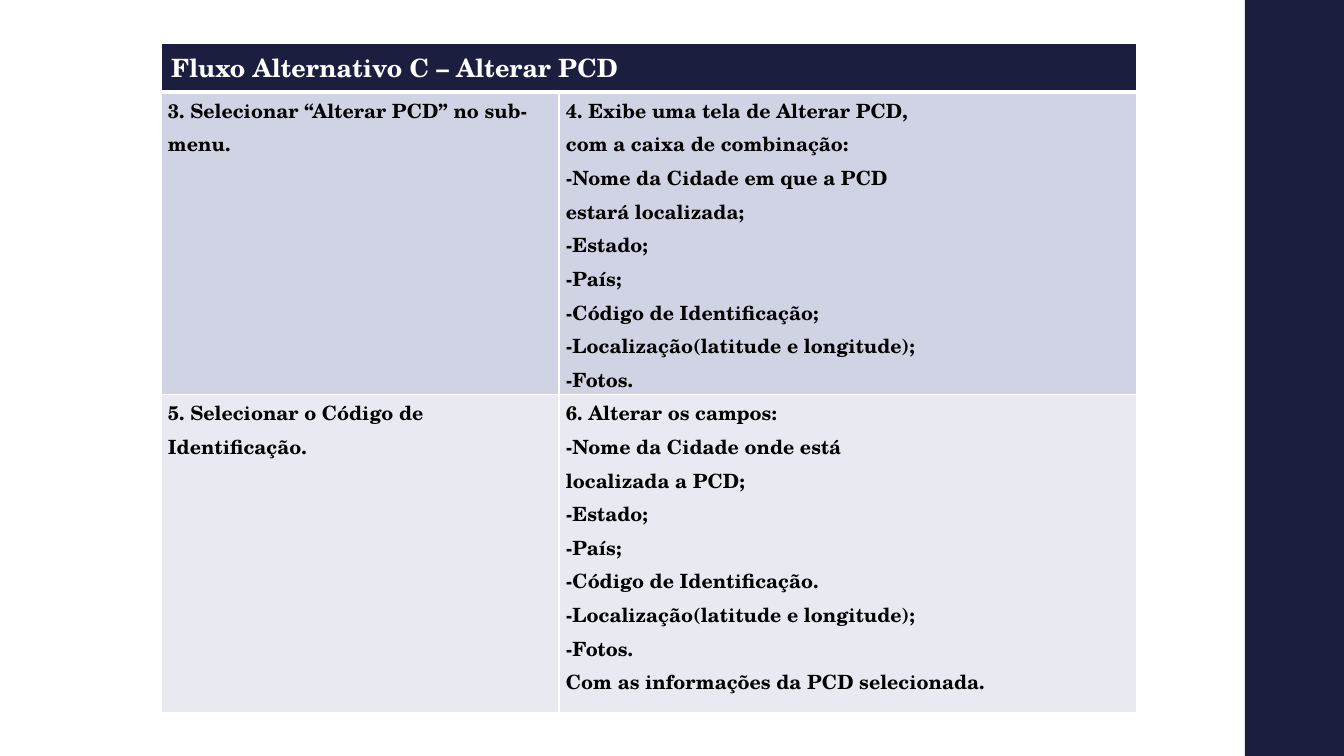
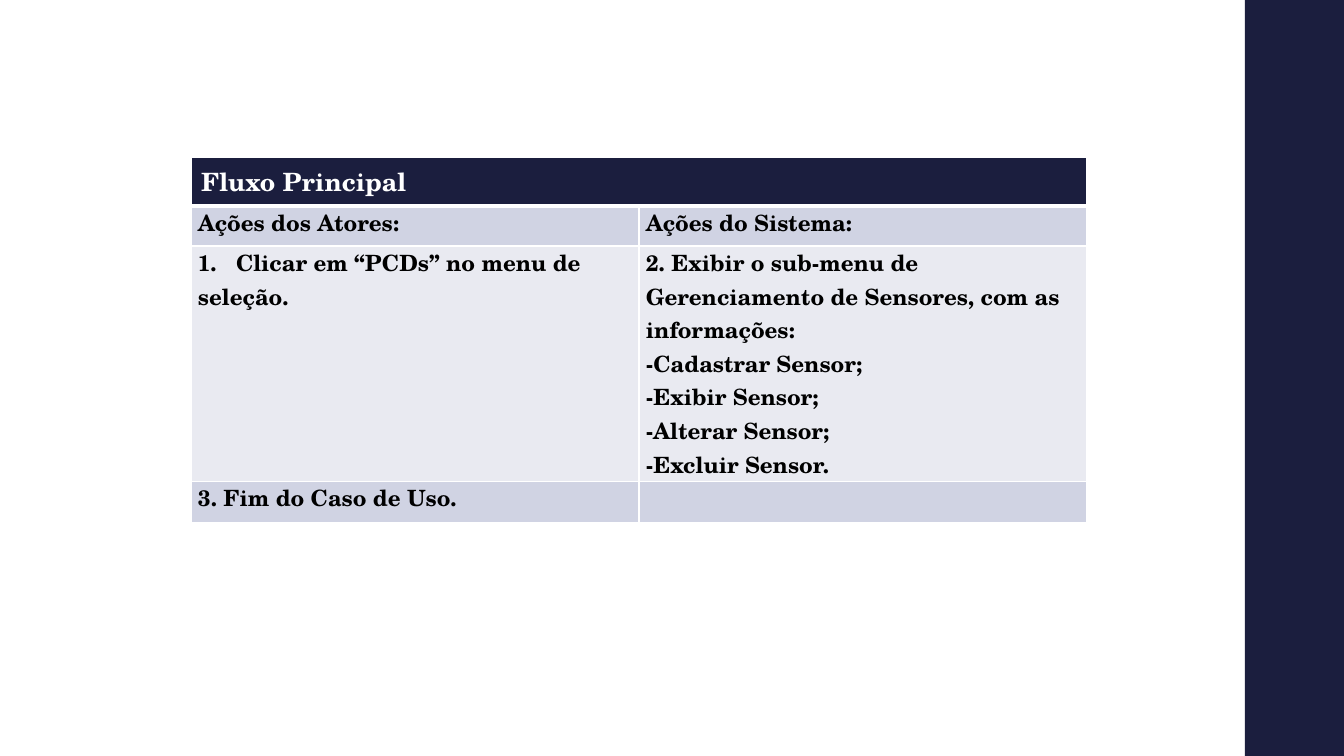
"""Builds two slides of use-case flow tables beside a dark side band."""
from lxml.etree import SubElement as Sub
from pptx import Presentation
from pptx.dml.color import RGBColor
from pptx.enum.shapes import MSO_SHAPE as Shape
from pptx.enum.text import MSO_ANCHOR as Anchor
from pptx.oxml.ns import qn
from pptx.util import Pt

PX = 914400 / 100.8
WIDTH, HEIGHT = 1344, 756
NAVY = RGBColor(0x1B, 0x1E, 0x3E)
WHITE = RGBColor(0xFF, 0xFF, 0xFF)
BLACK = RGBColor(0x00, 0x00, 0x00)
BANDS = RGBColor(0xD0, 0xD3, 0xE3), RGBColor(0xE9, 0xEA, 0xF1)
FONT = "TeX Gyre Schola"
HEAD = 49
MARK = "# "


def px(n):
    return round(n * PX)


class Deck:
    def __init__(self):
        self.prs = Presentation()
        self.prs.slide_width, self.prs.slide_height = px(WIDTH), px(HEIGHT)
        self.look = self.prs.slide_layouts[6]
        self.slide = None

    def new(self):
        self.slide = self.prs.slides.add_slide(self.look)
        if len(self.prs.slides) == 1:
            self.band()

    def band(self):
        bar = self.slide.shapes.add_shape(
            Shape.RECTANGLE, px(1245), 0, px(WIDTH - 1245), px(HEIGHT))
        bar.shadow.inherit = False
        bar.fill.solid()
        bar.fill.fore_color.rgb = NAVY
        bar.line.fill.background()
        bar.element.nvSpPr.cNvPr.set("id", "20")
        self.look.shapes.element.append(bar.element)

    def table(self, left, top, cols, title, rows, size):
        highs = [HEAD] + [high for high, _ in rows]
        frame = self.slide.shapes.add_table(
            len(highs), len(cols), px(left), px(top),
            px(sum(cols)), px(sum(highs)))
        grid = frame.table
        for col, wide in zip(grid.columns, cols):
            col.width = px(wide)
        for row, high in zip(grid.rows, highs):
            row.height = px(high)
        for cell in grid.rows[0].cells:
            self.paint(cell, NAVY, {"L": 1, "R": 1, "T": 1, "B": 3})
        head = grid.cell(0, 0)
        head.merge(grid.cell(0, len(cols) - 1))
        head.vertical_anchor = Anchor.MIDDLE
        self.text(head, [title], 18, WHITE)
        for i, (_, texts) in enumerate(rows):
            for cell, lines in zip(grid.rows[i + 1].cells, texts):
                self.paint(cell, BANDS[i % 2], {"L": 1, "R": 1, "B": 1})
                cell.margin_left = cell.margin_right = px(7)
                cell.margin_top = cell.margin_bottom = 0
                self.text(cell, lines, size, BLACK, Pt(24))

    def paint(self, cell, color, edges):
        props = cell._tc.get_or_add_tcPr()
        for side, wide in edges.items():
            line = Sub(props, qn("a:ln" + side), w=str(Pt(wide)))
            fill = Sub(line, qn("a:solidFill"))
            Sub(fill, qn("a:srgbClr"), val=str(WHITE))
        cell.fill.solid()
        cell.fill.fore_color.rgb = color

    def text(self, cell, lines, size, color, pitch=None):
        frame = cell.text_frame
        frame.text = "\n".join(line.removeprefix(MARK) for line in lines)
        for par, line in zip(frame.paragraphs, lines):
            if line.startswith(MARK):
                self.number(par)
            par.line_spacing = pitch
            font = par.font
            font.name, font.size, font.bold = FONT, Pt(size), True
            font.color.rgb = color

    def number(self, par):
        props = par._p.get_or_add_pPr()
        props.set("marL", str(px(38)))
        props.set("indent", str(-px(38)))
        Sub(props, qn("a:buFont"), typeface=FONT)
        Sub(props, qn("a:buAutoNum"), type="arabicPeriod")


def main():
    deck = Deck()
    deck.new()
    deck.table(161, 43, [398, 578], "Fluxo Alternativo C – Alterar PCD", [
        (302, (
            ["3. Selecionar “Alterar PCD” no sub-", "menu."],
            ["4. Exibe uma tela de Alterar PCD,",
             "com a caixa de combinação:",
             "-Nome da Cidade em que a PCD",
             "estará localizada;",
             "-Estado;",
             "-País;",
             "-Código de Identificação;",
             "-Localização(latitude e longitude);",
             "-Fotos."])),
        (318, (
            ["5. Selecionar o Código de", "Identificação."],
            ["6. Alterar os campos:",
             "-Nome da Cidade onde está",
             "localizada a PCD;",
             "-Estado;",
             "-País;",
             "-Código de Identificação.",
             "-Localização(latitude e longitude);",
             "-Fotos.",
             "Com as informações da PCD selecionada."])),
    ], 14)
    deck.new()
    deck.table(191, 157, [448, 448], "Fluxo Principal", [
        (40, (["Ações dos Atores:"], ["Ações do Sistema:"])),
        (235, (
            [MARK + "Clicar em “PCDs” no menu de", "seleção."],
            ["2. Exibir o sub-menu de",
             "Gerenciamento de Sensores, com as",
             "informações:",
             "-Cadastrar Sensor;",
             "-Exibir Sensor;",
             "-Alterar Sensor;",
             "-Excluir Sensor."])),
        (41, (["3. Fim do Caso de Uso."], [""])),
    ], 16)
    deck.prs.save("out.pptx")


if __name__ == "__main__":
    main()
